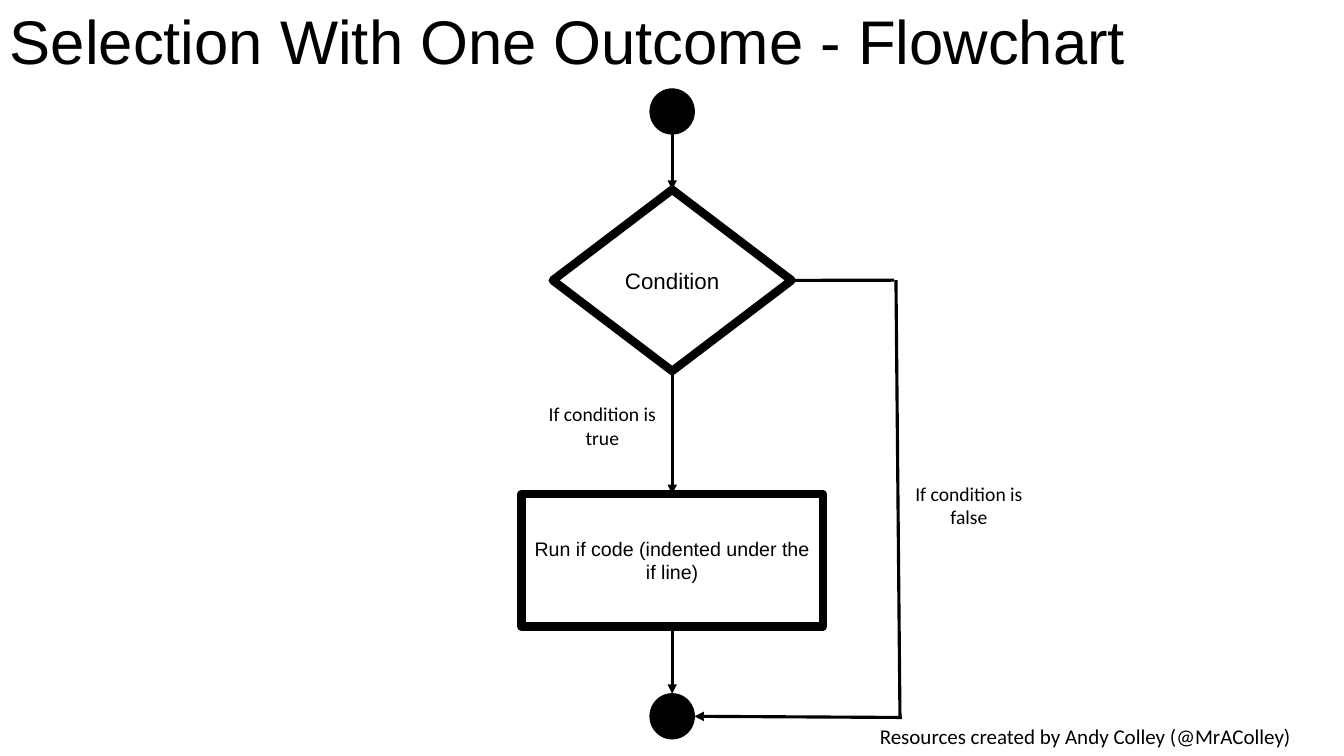
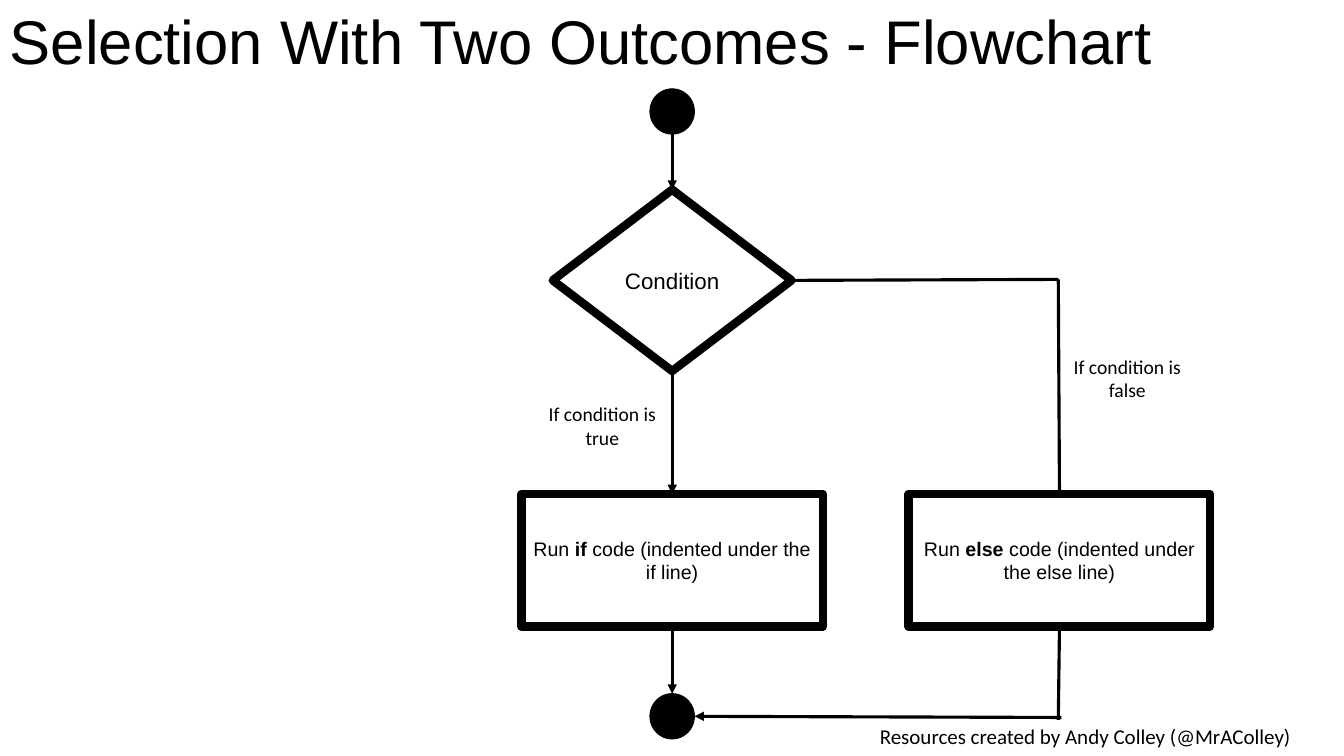
"""Build two flowchart slides on selection with one and two outcomes."""
from dataclasses import dataclass

import lxml.etree
import pptx
import pptx.dml.color
import pptx.enum.shapes
import pptx.enum.text
import pptx.oxml.ns
import pptx.util

Cm = pptx.util.Cm
Pt = pptx.util.Pt
SHAPE = pptx.enum.shapes.MSO_SHAPE
ANCHOR = pptx.enum.text.MSO_ANCHOR
ALIGN = pptx.enum.text.PP_ALIGN
qn = pptx.oxml.ns.qn

BLACK = pptx.dml.color.RGBColor(0x00, 0x00, 0x00)
HEAD_FONT = "Arial"
NOTE_FONT = "Calibri"
INSET = 0.25
MAIN_X = 16.94
ELSE_X = 26.7


@dataclass(frozen=True)
class Run:
    text: str
    bold: bool = False


@dataclass(frozen=True)
class Node:
    kind: SHAPE
    center: float
    top: float
    width: float
    height: float
    runs: tuple[Run, ...] = ()
    size: float = 14
    border: float = 6

    @property
    def bottom(self) -> float:
        return self.top + self.height

    @property
    def right(self) -> float:
        return self.center + self.width / 2

    @property
    def middle(self) -> float:
        return self.top + self.height / 2


@dataclass(frozen=True)
class Link:
    x1: float
    y1: float
    x2: float
    y2: float
    arrow: bool = False


@dataclass(frozen=True)
class Label:
    text: str
    left: float
    top: float
    width: float = 3.48
    height: float = 1.68
    size: float = 14
    anchor: ANCHOR = ANCHOR.TOP


@dataclass(frozen=True)
class Chart:
    title: str
    title_width: float
    nodes: tuple[Node, ...]
    links: tuple[Link, ...]
    false_label: Label


def terminal(top: float) -> Node:
    return Node(SHAPE.FLOWCHART_CONNECTOR, MAIN_X, top, 1.12, 1.14, border=0.75)


def process(center: float, *runs: Run) -> Node:
    return Node(SHAPE.FLOWCHART_PROCESS, center, 12.45, 7.6, 3.34, runs)


START = terminal(2.24)
END = terminal(17.48)
CONDITION = Node(SHAPE.FLOWCHART_DECISION, MAIN_X, 4.78, 6.02, 4.57,
                 (Run("Condition"),), 16)
IF_PLAIN = process(MAIN_X, Run("Run if code (indented under the if line)"))
IF_BOLD = process(MAIN_X, Run("Run "), Run("if", True),
                  Run(" code (indented under the if line)"))
ELSE = process(ELSE_X, Run("Run "), Run("else ", True),
               Run("code (indented under the else line)"))
TRUE_LABEL = Label("If condition is true", 13.44, 9.88)
FOOTER = Label("Resources created by Andy Colley (@MrAColley)",
               20.85, 18.03, 13, 1.02, 15, ANCHOR.MIDDLE)

CHARTS = (
    Chart(
        "Selection With One Outcome - Flowchart", 29.2,
        (START, CONDITION, IF_PLAIN, END),
        (Link(22.73, 18.08, END.right, END.middle, True),
         Link(CONDITION.right, CONDITION.middle, 22.53, 7.06),
         Link(22.58, 7.06, 22.68, 18.06)),
        Label("If condition is false", 22.68, 11.89),
    ),
    Chart(
        "Selection With Two Outcomes - Flowchart", 33.55,
        (START, CONDITION, IF_BOLD, END, ELSE),
        (Link(26.75, 18.08, END.right, END.middle, True),
         Link(CONDITION.right, CONDITION.middle, 26.67, 7.04),
         Link(26.67, 7.04, ELSE_X, ELSE.top),
         Link(ELSE_X, ELSE.bottom, 26.67, 18.14)),
        Label("If condition is false", 26.67, 8.69),
    ),
)


def write(tf, runs: tuple[Run, ...], font: str, size: float,
          align: ALIGN = ALIGN.CENTER, anchor: ANCHOR = ANCHOR.MIDDLE,
          inset_y: float = INSET) -> None:
    tf.word_wrap = True
    tf.auto_size = pptx.enum.text.MSO_AUTO_SIZE.NONE
    tf.vertical_anchor = anchor
    tf.margin_left = tf.margin_right = Cm(INSET)
    tf.margin_top = tf.margin_bottom = Cm(inset_y)
    p = tf.paragraphs[0]
    p.alignment = align
    for run in runs:
        r = p.add_run()
        r.text = run.text
        r.font.name = font
        r.font.size = Pt(size)
        r.font.bold = run.bold
        r.font.color.rgb = BLACK


def draw_title(slide, text: str, width: float) -> None:
    title = slide.shapes.title
    title.left, title.top = Cm(0), Cm(0)
    title.width, title.height = Cm(width), Cm(2.24)
    write(title.text_frame, (Run(text),), HEAD_FONT, 44, ALIGN.LEFT, inset_y=0.13)
    title.text_frame.paragraphs[0].line_spacing = 0.9


def draw_node(slide, node: Node) -> None:
    sp = slide.shapes.add_shape(
        node.kind, Cm(node.center - node.width / 2), Cm(node.top),
        Cm(node.width), Cm(node.height))
    sp.shadow.inherit = False
    sp.line.color.rgb = BLACK
    sp.line.width = Pt(node.border)
    if node.runs:
        sp.fill.background()
        write(sp.text_frame, node.runs, HEAD_FONT, node.size)
    else:
        sp.fill.solid()
        sp.fill.fore_color.rgb = BLACK


def draw_link(slide, link: Link) -> None:
    line = slide.shapes.add_connector(
        pptx.enum.shapes.MSO_CONNECTOR.STRAIGHT,
        Cm(link.x1), Cm(link.y1), Cm(link.x2), Cm(link.y2))
    line.line.color.rgb = BLACK
    line.line.width = Pt(2.25)
    props = line.element.spPr
    if link.arrow:
        lxml.etree.SubElement(props.find(qn("a:ln")), qn("a:tailEnd"), type="triangle")
    lxml.etree.SubElement(props, qn("a:effectLst"))


def draw_label(slide, label: Label):
    box = slide.shapes.add_textbox(
        Cm(label.left), Cm(label.top), Cm(label.width), Cm(label.height))
    write(box.text_frame, (Run(label.text),), NOTE_FONT, label.size,
          anchor=label.anchor)
    return box


def draw_chart(slide, chart: Chart) -> None:
    draw_title(slide, chart.title, chart.title_width)
    for node in chart.nodes:
        draw_node(slide, node)
    spine = chart.nodes[:4]
    for upper, lower in zip(spine, spine[1:]):
        draw_link(slide, Link(MAIN_X, upper.bottom, MAIN_X, lower.top, True))
    for link in chart.links:
        draw_link(slide, link)
    for label in (TRUE_LABEL, chart.false_label):
        draw_label(slide, label)


def main() -> None:
    prs = pptx.Presentation()
    prs.slide_width, prs.slide_height = Cm(33.87), Cm(19.05)
    layout = prs.slide_layouts.get_by_name("Title Only")
    slides = [prs.slides.add_slide(layout) for _ in CHARTS]
    footer = draw_label(slides[0], FOOTER)
    layout.element.cSld.spTree.append(footer.element)
    for slide, chart in zip(slides, CHARTS):
        draw_chart(slide, chart)
    prs.save("out.pptx")


main()
